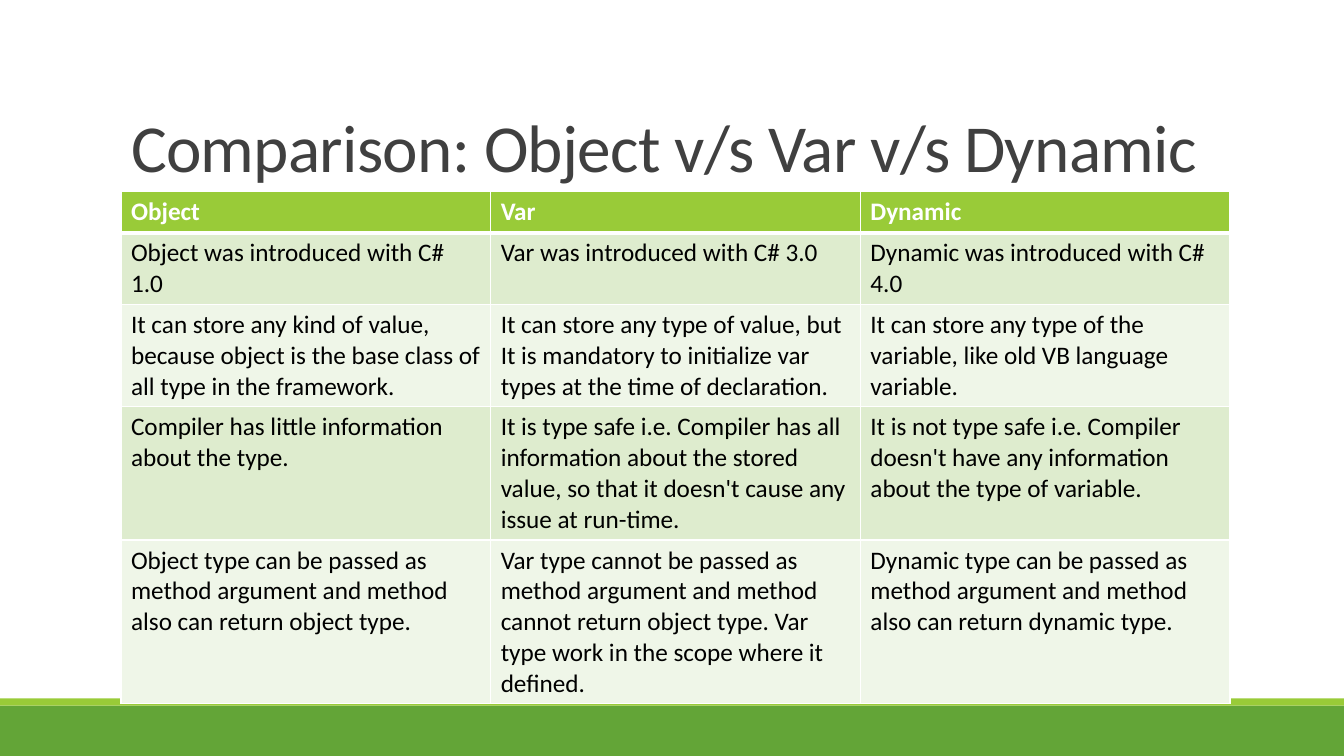
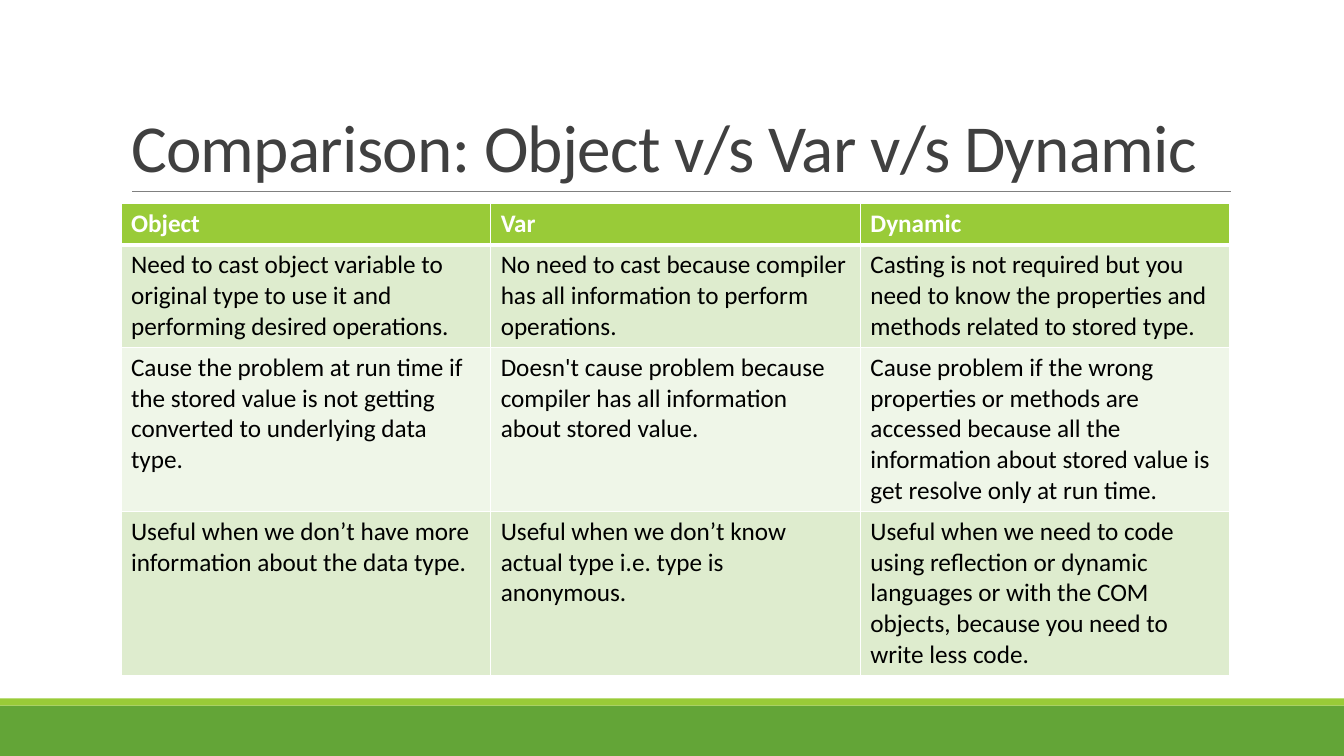
from pptx import Presentation
from pptx.dml.color import RGBColor
from pptx.enum.shapes import MSO_CONNECTOR, MSO_SHAPE
from pptx.enum.text import MSO_ANCHOR, PP_ALIGN
from pptx.oxml.ns import qn
from pptx.util import Inches, Pt
from lxml import etree

RECTANGLE = MSO_SHAPE.RECTANGLE
STRAIGHT = MSO_CONNECTOR.STRAIGHT
BOTTOM = MSO_ANCHOR.BOTTOM
LEFT = PP_ALIGN.LEFT

COLORS = {
    "footer": "63A537",
    "accent": "99CB38",
    "rule": "808080",
    "title": "404040",
    "white": "FFFFFF",
    "text": "000000",
    "odd_row": "DEECCE",
    "even_row": "EFF6E8",
}
FONT = "Calibri"
WIDTH, HEIGHT = 13.33, 7.5
MARGIN, CONTENT_WIDTH = 1.2, 11
RULE_TOP = 1.9
ROW_HEIGHT = 0.41
TITLE_ONLY = 5

TITLE = "Comparison: Object v/s Var v/s Dynamic"
HEADERS = ("Object", "Var", "Dynamic")
SLIDES = [
    {
        "table_top": RULE_TOP,
        "rows": [
            (
                "Object was introduced with C# 1.0",
                "Var was introduced with C# 3.0",
                "Dynamic was introduced with C# 4.0",
            ),
            (
                "It can store any kind of value, because object is the base class of all type in the framework.",
                "It can store any type of value, but It is mandatory to initialize var types at the time of declaration.",
                "It can store any type of the variable, like old VB language variable.",
            ),
            (
                "Compiler has little information about the type.",
                "It is type safe i.e. Compiler has all information about the stored value, "
                "so that it doesn't cause any issue at run-time.",
                "It is not type safe i.e. Compiler doesn't have any information about the type of variable.",
            ),
            (
                "Object type can be passed as method argument and method also can return object type.",
                "Var type cannot be passed as method argument and method cannot return object type. "
                "Var type work in the scope where it defined.",
                "Dynamic type can be passed as method argument and method also can return dynamic type.",
            ),
        ],
    },
    {
        "table_top": RULE_TOP + 0.12,
        "rows": [
            (
                "Need to cast object variable to original type to use it and performing desired operations.",
                "No need to cast because compiler has all information to perform operations.",
                "Casting is not required but you need to know the properties and methods related to stored type.",
            ),
            (
                "Cause the problem at run time if the stored value is not getting converted to underlying data type.",
                "Doesn't cause problem because compiler has all information about stored value.",
                "Cause problem if the wrong properties or methods are accessed because all the information "
                "about stored value is get resolve only at run time.",
            ),
            (
                "Useful when we don’t have more information about the data type.",
                "Useful when we don’t know actual type i.e. type is anonymous.",
                "Useful when we need to code using reflection or dynamic languages or with the COM objects, "
                "because you need to write less code.",
            ),
        ],
    },
]


def color(name):
    return RGBColor.from_string(COLORS[name])


def add_run(paragraph, text, size, color_name, bold=False):
    run = paragraph.add_run()
    run.text = text
    run.font.name = FONT
    run.font.size = Pt(size)
    run.font.bold = bold
    run.font.color.rgb = color(color_name)
    return run


def add_band(slide, top, height, color_name):
    band = slide.shapes.add_shape(
        RECTANGLE, 0, Inches(top), Inches(WIDTH), Inches(height))
    band.shadow.inherit = False
    band.fill.solid()
    band.fill.fore_color.rgb = color(color_name)
    band.line.fill.background()
    return band


def add_rule(slide):
    rule = slide.shapes.add_connector(
        STRAIGHT, Inches(1.31), Inches(RULE_TOP), Inches(12.21), Inches(RULE_TOP))
    rule.line.color.rgb = color("rule")
    rule.line.width = Pt(0.5)
    etree.SubElement(rule.element.spPr, qn("a:effectLst"))
    return rule


def move_to_master(presentation, shapes):
    master_tree = presentation.slide_master.shapes.element
    for number, shape in enumerate(shapes, start=100):
        shape.element.xpath(".//p:cNvPr")[0].set("id", str(number))
        master_tree.append(shape.element)


def place_title(layout):
    title = layout.placeholders[0]
    title.left, title.top = Inches(MARGIN), Inches(RULE_TOP - 1.59)
    title.width, title.height = Inches(CONTENT_WIDTH), Inches(1.59)
    title.text_frame.vertical_anchor = BOTTOM


def fill_title(slide):
    paragraph = slide.shapes.title.text_frame.paragraphs[0]
    paragraph.alignment = LEFT
    paragraph.line_spacing = 0.85
    run = add_run(paragraph, TITLE, 48, "title")
    run.font._element.set("spc", "-50")


def set_borders(cell, widths):
    properties = cell._tc.get_or_add_tcPr()
    for side, width in widths.items():
        line = etree.SubElement(properties, qn(f"a:ln{side}"), w=str(Pt(width)))
        fill = etree.SubElement(line, qn("a:solidFill"))
        etree.SubElement(fill, qn("a:srgbClr"), val=COLORS["white"])


def add_comparison(slide, top, rows):
    content = [HEADERS, *rows]
    table = slide.shapes.add_table(
        len(content), len(HEADERS), Inches(MARGIN), Inches(top),
        Inches(CONTENT_WIDTH), Inches(ROW_HEIGHT * len(content))).table
    for row_index, texts in enumerate(content):
        header = row_index == 0
        fill_name = "accent" if header else "odd_row" if row_index % 2 else "even_row"
        borders = {"L": 1, "R": 1, "T": 3 if row_index == 1 else 1, "B": 3 if header else 1}
        for column_index, text in enumerate(texts):
            cell = table.cell(row_index, column_index)
            set_borders(cell, borders)
            cell.fill.solid()
            cell.fill.fore_color.rgb = color(fill_name)
            add_run(cell.text_frame.paragraphs[0], text, 18,
                    "white" if header else "text", header)


def main():
    presentation = Presentation()
    presentation.slide_width, presentation.slide_height = Inches(WIDTH), Inches(HEIGHT)
    layout = presentation.slide_layouts[TITLE_ONLY]
    place_title(layout)
    slides = [presentation.slides.add_slide(layout) for _ in SLIDES]
    move_to_master(presentation, [
        add_band(slides[0], 7, 0.5, "footer"),
        add_band(slides[0], 6.93, 0.07, "accent"),
        add_rule(slides[0]),
    ])
    for slide, content in zip(slides, SLIDES):
        fill_title(slide)
        add_comparison(slide, content["table_top"], content["rows"])
    presentation.save("out.pptx")


if __name__ == "__main__":
    main()
